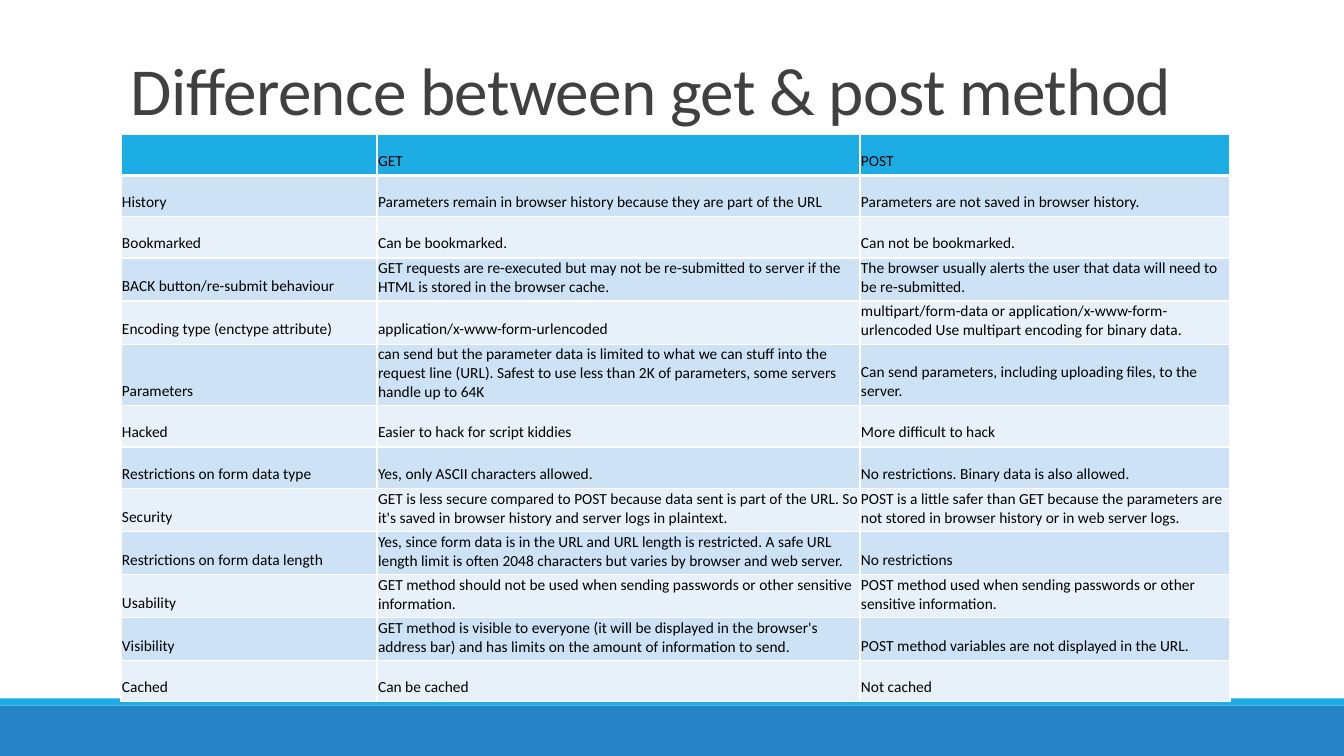
from dataclasses import dataclass

from lxml import etree
from pptx import Presentation
from pptx.dml.color import RGBColor
from pptx.enum import shapes, text
from pptx.oxml import ns
from pptx.util import Inches, Pt


@dataclass(frozen=True)
class Theme:
    """Colours, font and type sizes of the slide."""
    font: str = "Calibri"
    title_size: float = 48
    cell_size: float = 11
    title: str = "404040"
    ink: str = "000000"
    accent: str = "1CADE4"
    footer: str = "2683C6"
    bands: tuple = ("CDE3F5", "E8F1FA")
    grid: str = "FFFFFF"


THEME = Theme()
COLUMNS = (2.54, 4.79, 3.67)
ROW_HEIGHT = 0.41
ROWS = (
    ("", "GET", "POST"),
    ("History",
     "Parameters remain in browser history because they are part of the URL",
     "Parameters are not saved in browser history."),
    ("Bookmarked", "Can be bookmarked.", "Can not be bookmarked."),
    ("BACK button/re-submit behaviour",
     "GET requests are re-executed but may not be re-submitted to server "
     "if the HTML is stored in the browser cache.",
     "The browser usually alerts the user that data will need to be re-submitted."),
    ("Encoding type (enctype attribute)",
     "application/x-www-form-urlencoded",
     "multipart/form-data or application/x-www-form-urlencoded "
     "Use multipart encoding for binary data."),
    ("Parameters",
     "can send but the parameter data is limited to what we can stuff into the "
     "request line (URL). Safest to use less than 2K of parameters, "
     "some servers handle up to 64K",
     "Can send parameters, including uploading files, to the server."),
    ("Hacked", "Easier to hack for script kiddies", "More difficult to hack"),
    ("Restrictions on form data type",
     "Yes, only ASCII characters allowed.",
     "No restrictions. Binary data is also allowed."),
    ("Security",
     "GET is less secure compared to POST because data sent is part of the URL. "
     "So it's saved in browser history and server logs in plaintext.",
     "POST is a little safer than GET because the parameters are not stored "
     "in browser history or in web server logs."),
    ("Restrictions on form data length",
     "Yes, since form data is in the URL and URL length is restricted. A safe URL "
     "length limit is often 2048 characters but varies by browser and web server.",
     "No restrictions"),
    ("Usability",
     "GET method should not be used when sending passwords or other sensitive "
     "information.",
     "POST method used when sending passwords or other sensitive information."),
    ("Visibility",
     "GET method is visible to everyone (it will be displayed in the browser's "
     "address bar) and has limits on the amount of information to send.",
     "POST method variables are not displayed in the URL."),
    ("Cached", "Can be cached", "Not cached"),
)


def add_run(p, words, size, color):
    """Add one styled run to a paragraph."""
    r = p.add_run()
    r.text = words
    r.font.name = THEME.font
    r.font.size = Pt(size)
    r.font.bold = False
    r.font.color.rgb = RGBColor.from_string(color)
    return r


def add_bar(s, left, top, width, height, color):
    """Draw a plain filled bar."""
    sp = s.shapes.add_shape(shapes.MSO_SHAPE.RECTANGLE, Inches(left), Inches(top),
                            Inches(width), Inches(height))
    sp.shadow.inherit = False
    sp.fill.solid()
    sp.fill.fore_color.rgb = RGBColor.from_string(color)
    sp.line.fill.background()


def add_footer(s, left, top, width, height):
    """Draw the footer band with its thin accent stripe on top."""
    stripe = 0.07
    add_bar(s, left, top + stripe, width, height - stripe, THEME.footer)
    add_bar(s, left, top, width, stripe, THEME.accent)


def add_title(s, left, top, width, height, words):
    """Place the slide title at the bottom of its box."""
    sp = s.shapes.add_textbox(Inches(left), Inches(top), Inches(width), Inches(height))
    tf = sp.text_frame
    tf.word_wrap = True
    tf.vertical_anchor = text.MSO_ANCHOR.BOTTOM
    p = tf.paragraphs[0]
    p.line_spacing = 0.85
    r = add_run(p, words, THEME.title_size, THEME.title)
    r.font._element.set("spc", "-50")


def set_borders(cell, top, bottom):
    """Rule all four sides of a cell, with point widths for top and bottom."""
    tc_pr = cell._tc.get_or_add_tcPr()
    for side, width in (("L", 1), ("R", 1), ("T", top), ("B", bottom)):
        ln = etree.SubElement(tc_pr, ns.qn(f"a:ln{side}"), w=str(Pt(width)))
        fill = etree.SubElement(ln, ns.qn("a:solidFill"))
        etree.SubElement(fill, ns.qn("a:srgbClr"), val=THEME.grid)


def fill_cell(cell, words, row):
    """Style one table cell and write its text."""
    set_borders(cell, 3 if row == 1 else 1, 3 if row == 0 else 1)
    color = THEME.bands[(row - 1) % 2] if row else THEME.accent
    cell.fill.solid()
    cell.fill.fore_color.rgb = RGBColor.from_string(color)
    cell.vertical_anchor = text.MSO_ANCHOR.BOTTOM
    cell.margin_left = cell.margin_right = cell.margin_top = Inches(0.01)
    cell.margin_bottom = Inches(0.05)
    if words:
        add_run(cell.text_frame.paragraphs[0], words, THEME.cell_size, THEME.ink)


def add_comparison(s, left, top):
    """Build the comparison table from its top left corner."""
    table = s.shapes.add_table(len(ROWS), len(COLUMNS), Inches(left), Inches(top),
                               Inches(sum(COLUMNS)),
                               Inches(ROW_HEIGHT * len(ROWS))).table
    for column, width in zip(table.columns, COLUMNS):
        column.width = Inches(width)
    for i, row in enumerate(ROWS):
        table.rows[i].height = Inches(ROW_HEIGHT)
        for j, words in enumerate(row):
            fill_cell(table.cell(i, j), words, i)


def main():
    """Build and save the slide."""
    prs = Presentation()
    prs.slide_width, prs.slide_height = Inches(13.33), Inches(7.5)
    s = prs.slides.add_slide(prs.slide_layouts[6])
    add_footer(s, 0, 6.93, 13.33, 0.57)
    add_title(s, 1.2, 0.31, 11, 1.02, "Difference between get & post method")
    add_comparison(s, 1.2, 1.33)
    prs.save("out.pptx")


if __name__ == "__main__":
    main()
